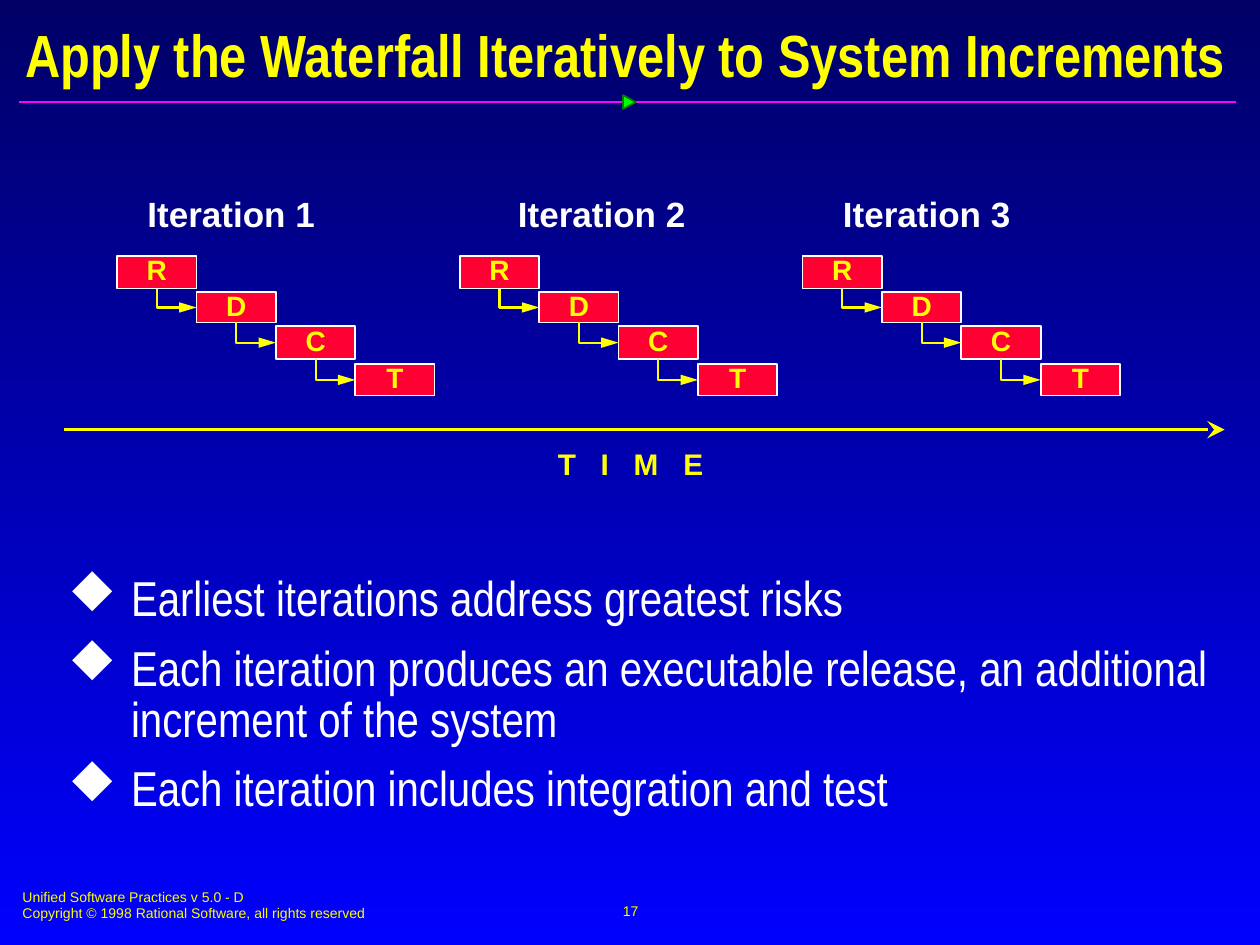
from dataclasses import dataclass

from lxml import etree
from pptx import Presentation
from pptx.dml.color import RGBColor
from pptx.enum import shapes, text
from pptx.oxml import ns
from pptx.util import Inches, Pt


@dataclass(frozen=True)
class Theme:
    yellow: RGBColor = RGBColor(0xFF, 0xFF, 0x00)
    white: RGBColor = RGBColor(0xFF, 0xFF, 0xFF)
    red: RGBColor = RGBColor(0xFF, 0x00, 0x33)
    magenta: RGBColor = RGBColor(0xFF, 0x01, 0xFF)
    green: RGBColor = RGBColor(0x00, 0xFF, 0x00)
    dark_green: RGBColor = RGBColor(0x03, 0x7C, 0x03)
    navy: RGBColor = RGBColor(0x00, 0x00, 0x66)
    blue: RGBColor = RGBColor(0x00, 0x00, 0xFF)
    font: str = "Arial"
    narrow: str = "Arial Narrow"
    symbols: str = "Wingdings"
    title: int = 34
    body: int = 28
    label: int = 20
    time: int = 17
    stage: int = 16
    footer: int = 8


T = Theme()

STAGES = [("R", 2.03, 0.26), ("D", 2.32, 0.24), ("C", 2.59, 0.26), ("T", 2.89, 0.25)]
STAGE_W = 0.63
FIRST_X, ITERATION_PITCH = 0.93, 2.72
LABEL_LEFTS = [1.03, 3.97, 6.55]
DIAMOND = "u"  # the filled diamond in the symbol font
BULLETS = [
    "Earliest iterations address greatest risks",
    "Each iteration produces an executable release, an additional increment of the system",
    "Each iteration includes integration and test",
]
FOOTER = [
    "Unified Software Practices v 5.0 - D",
    "Copyright © 1998 Rational Software, all rights reserved",
]


def add_xml(parent, tag, **attrs):
    return etree.SubElement(parent, ns.qn(tag), attrs)


def write(tf, lines, size, color, name=T.font, bold=False, align=text.PP_ALIGN.LEFT,
          anchor=text.MSO_ANCHOR.TOP, inset=(0.1, 0.05), wrap=True):
    """Fill a text frame with one paragraph per line and return the paragraphs."""
    tf.auto_size = text.MSO_AUTO_SIZE.NONE
    tf.word_wrap = wrap
    tf.vertical_anchor = anchor
    tf.margin_left = tf.margin_right = Inches(inset[0])
    tf.margin_top = tf.margin_bottom = Inches(inset[1])
    tf.text = "\n".join(lines)
    for p in tf.paragraphs:
        p.alignment = align
        p.font.size, p.font.name, p.font.bold = Pt(size), name, bold
        p.font.color.rgb = color
    return tf.paragraphs


def add_text(s, box, lines, size, color, **style):
    sp = s.shapes.add_textbox(*map(Inches, box))
    return write(sp.text_frame, lines, size, color, **style)


def add_box(s, kind, box, fill, line):
    sp = s.shapes.add_shape(kind, *map(Inches, box))
    sp.shadow.inherit = False
    sp.fill.solid()
    sp.fill.fore_color.rgb = fill
    sp.line.color.rgb = line
    sp.line.width = Pt(1)
    return sp


def add_line(s, kind, start, end, color, width, arrow=None):
    """Draw a connector between two EMU points; arrow holds the tailEnd attributes."""
    cx = s.shapes.add_connector(kind, *start, *end)
    cx.line.color.rgb = color
    cx.line.width = Pt(width)
    if arrow:
        add_xml(cx._element.spPr.find(ns.qn("a:ln")), "a:tailEnd", **arrow)
    add_xml(cx._element.spPr, "a:effectLst")
    return cx


def add_step_arrow(s, upper, lower):
    """Run one bend from the bottom of the upper box to the left of the lower one."""
    x1, y1 = upper.left + upper.width // 2, upper.top + upper.height
    x2, y2 = lower.left, lower.top + lower.height // 2
    cx = add_line(s, shapes.MSO_CONNECTOR.ELBOW, (x1, y1), (x2, y2), T.yellow, 1.25,
                  {"type": "triangle", "w": "med", "len": "lg"})
    cx.begin_connect(upper, 2)
    cx.end_connect(lower, 1)
    # A single bend that leaves downwards is a turned, mirrored bentConnector2.
    spPr = cx._element.spPr
    spPr.find(ns.qn("a:prstGeom")).set("prst", "bentConnector2")
    xfrm = spPr.find(ns.qn("a:xfrm"))
    xfrm.set("rot", "16200000")
    xfrm.set("flipH", "1")
    dx, dy = x2 - x1, y2 - y1
    cx.left, cx.top = (x1 + x2 - dy) // 2, (y1 + y2 - dx) // 2
    cx.width, cx.height = dy, dx


def add_waterfall(s, left):
    boxes = []
    for i, (name, top, height) in enumerate(STAGES):
        sp = add_box(s, shapes.MSO_SHAPE.RECTANGLE,
                     (left + i * STAGE_W, top, STAGE_W, height), T.red, T.white)
        p, = write(sp.text_frame, [name], T.stage, T.yellow, bold=True,
                   align=text.PP_ALIGN.CENTER, anchor=text.MSO_ANCHOR.MIDDLE,
                   inset=(0.09, 0.04), wrap=False)
        p.line_spacing = 0.87
        boxes.append(sp)
    for upper, lower in zip(boxes, boxes[1:]):
        add_step_arrow(s, upper, lower)


def add_bullets(s):
    paragraphs = add_text(s, (0.42, 4.51, 9.29, 2.1), BULLETS, T.body, T.white,
                          name=T.narrow, inset=(0.12, 0.06))
    for i, p in enumerate(paragraphs):
        pPr = p._p.get_or_add_pPr()
        pPr.set("marL", str(Inches(0.5)))
        pPr.set("indent", str(Inches(-0.5)))
        color = etree.Element(ns.qn("a:buClr"))
        add_xml(color, "a:srgbClr", val=str(T.white))
        font = etree.Element(ns.qn("a:buFont"), typeface=T.symbols, pitchFamily="2", charset="2")
        bullet = etree.Element(ns.qn("a:buChar"), char=DIAMOND)
        for place, element in enumerate((color, font, bullet)):
            pPr.insert(place, element)
        p.line_spacing = 0.87
        if i:
            p.space_before = Pt(10.5)


def add_time_axis(s):
    y = Inches(3.41)
    add_line(s, shapes.MSO_CONNECTOR.STRAIGHT, (Inches(0.51), y), (Inches(9.72), y),
             T.yellow, 2, {"type": "stealth", "w": "lg", "len": "lg"})
    p, = add_text(s, (4.34, 3.53, 1.33, 0.34), ["T I M E"], T.time, T.yellow, bold=True,
                  align=text.PP_ALIGN.CENTER, inset=(0.09, 0.04), wrap=False)
    p.line_spacing = 0.9
    p.runs[0]._r.get_or_add_rPr().set("spc", "470")


def add_frame(s):
    """Background, title with its rule, and footer."""
    fill = s.background.fill
    fill.gradient()
    fill.gradient_angle = 270
    for stop, color in zip(fill.gradient_stops, (T.navy, T.blue)):
        stop.color.rgb = color

    title = s.shapes.title
    title.left, title.top, title.width, title.height = map(Inches, (0.1, 0.14, 9.84, 0.58))
    write(title.text_frame, ["Apply the Waterfall Iteratively to System Increments"],
          T.title, T.yellow, name=T.narrow, bold=True, anchor=text.MSO_ANCHOR.MIDDLE)

    y = Inches(0.81)
    add_line(s, shapes.MSO_CONNECTOR.STRAIGHT, (Inches(0.15), y), (Inches(9.81), y), T.magenta, 1)
    marker = add_box(s, shapes.MSO_SHAPE.ISOSCELES_TRIANGLE, (4.94, 0.76, 0.11, 0.1),
                     T.green, T.dark_green)
    marker.rotation = 90

    add_text(s, (0.08, 7, 5.1, 0.37), FOOTER, T.footer, T.yellow)
    add_text(s, (3.42, 6.98, 3.17, 0.5), ["17"], T.footer, T.yellow,
             align=text.PP_ALIGN.CENTER, anchor=text.MSO_ANCHOR.MIDDLE)


def main():
    prs = Presentation()
    prs.slide_width, prs.slide_height = Inches(10), Inches(7.5)
    s = prs.slides.add_slide(prs.slide_layouts[5])
    add_frame(s)
    add_bullets(s)
    for i, label_left in enumerate(LABEL_LEFTS):
        add_text(s, (label_left, 1.48, 1.61, 0.44), [f"Iteration {i + 1}"], T.label, T.white,
                 bold=True, align=text.PP_ALIGN.CENTER, wrap=False)
        add_waterfall(s, FIRST_X + i * ITERATION_PITCH)
    add_time_axis(s)
    prs.save("out.pptx")


if __name__ == "__main__":
    main()
